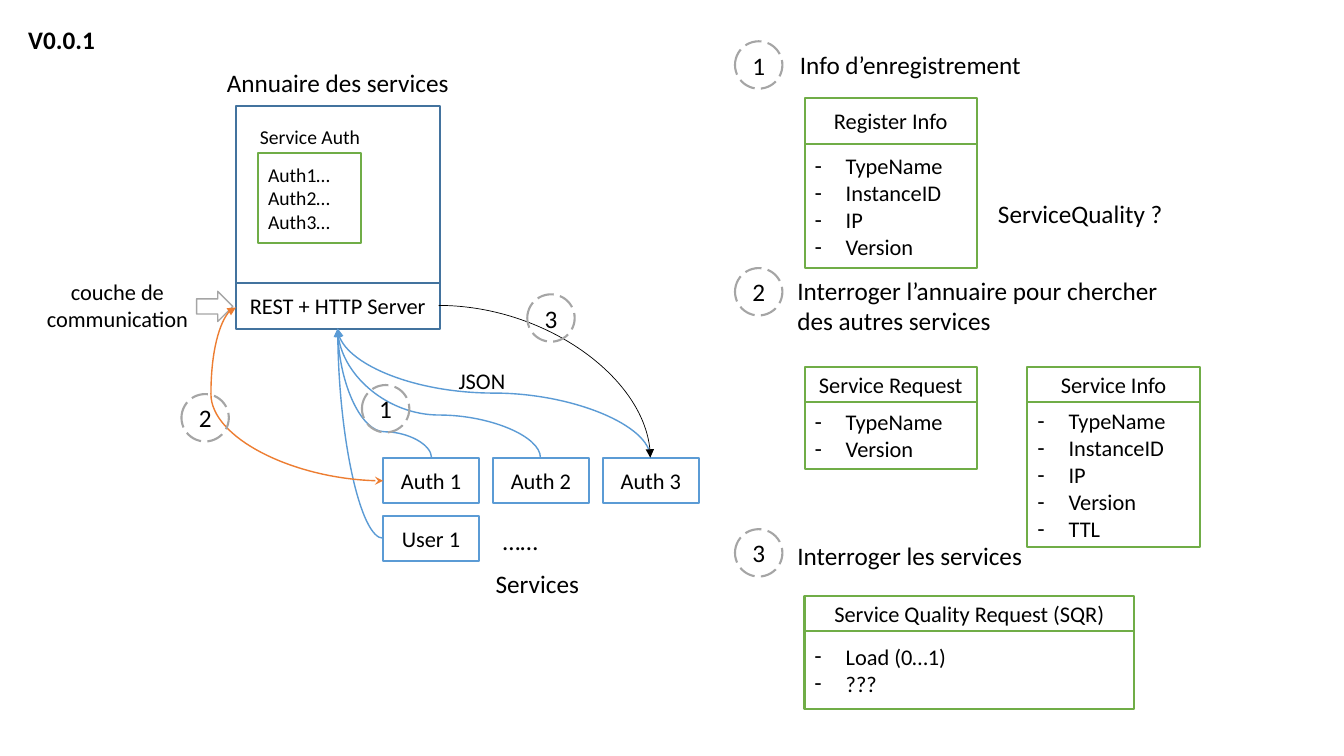
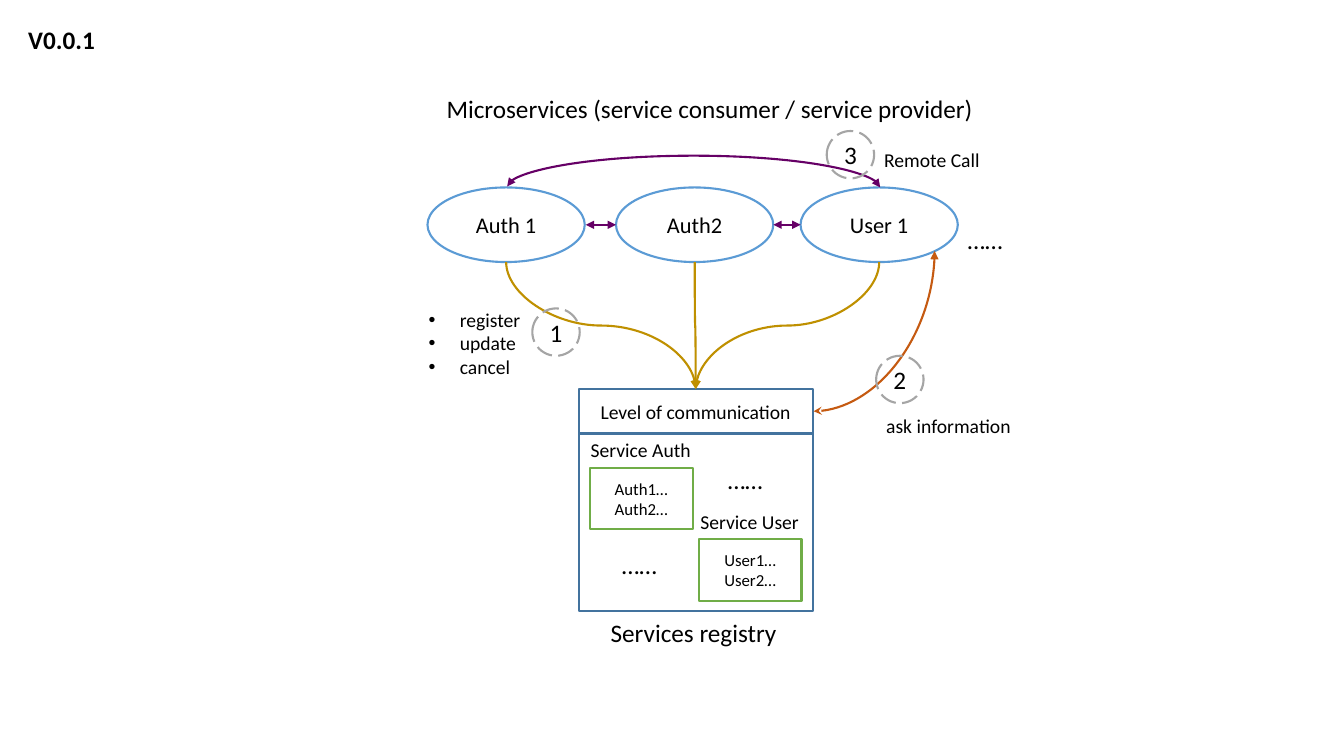
import pptx
import pptx.dml.color
import pptx.enum.dml
import pptx.enum.shapes
import pptx.enum.text
import pptx.oxml
import pptx.oxml.ns
import pptx.util

SHAPE = pptx.enum.shapes.MSO_SHAPE
ALIGN = pptx.enum.text.PP_ALIGN
ANCHOR = pptx.enum.text.MSO_ANCHOR
EMU_PER_PX = 9144

BLACK = "000000"
WHITE = "FFFFFF"
GREEN = "70AD47"
BLUE = "5B9BD5"
NAVY = "43739E"
GREY = "A5A5A5"
ORANGE = "ED7D31"
RUST = "C55A11"
GOLD = "BF9000"
PURPLE = "660066"


def px(length):
    return pptx.util.Emu(round(length * EMU_PER_PX))


def color(value):
    return pptx.dml.color.RGBColor.from_string(value)


def add_xml(parent, tag, **attributes):
    element = pptx.oxml.parse_xml(f"<a:{tag} {pptx.oxml.ns.nsdecls('a')}/>")
    for key, value in attributes.items():
        element.set(key, str(value))
    parent.append(element)


def write(frame, text, size=16, align=ALIGN.CENTER, anchor=ANCHOR.MIDDLE, bold=False, bullet=None):
    frame.word_wrap = True
    frame.auto_size = pptx.enum.text.MSO_AUTO_SIZE.NONE
    frame.vertical_anchor = anchor
    frame.text = text
    for paragraph in frame.paragraphs:
        paragraph.alignment = align
        paragraph.space_before = pptx.util.Pt(0)
        font = paragraph.font
        font.name = "Calibri"
        font.size = pptx.util.Pt(size)
        font.bold = bold
        font.color.rgb = color(BLACK)
        for run in paragraph.runs:
            run.font.name = "Calibri"
            run.font.size = pptx.util.Pt(size)
            run.font.bold = bold
            run.font.color.rgb = color(BLACK)
        if bullet:
            properties = paragraph._p.get_or_add_pPr()
            properties.set("marL", str(px(31)))
            properties.set("indent", str(-px(31)))
            bullet_font = pptx.oxml.parse_xml(
                f'<a:buFont {pptx.oxml.ns.nsdecls("a")} typeface="Arial"/>')
            bullet_mark = pptx.oxml.parse_xml(
                f'<a:buChar {pptx.oxml.ns.nsdecls("a")} char="{bullet}"/>')
            properties.insert_element_before(bullet_font, "a:defRPr")
            properties.insert_element_before(bullet_mark, "a:defRPr")


class Diagram:
    def __init__(self):
        self.deck = pptx.Presentation()
        self.deck.slide_width = px(1333)
        self.deck.slide_height = px(750)
        self.slide = None

    def start(self, layout, title):
        self.slide = self.deck.slides.add_slide(self.deck.slide_layouts[layout])
        self.place(self.slide.shapes.title, (18, 19, 149, 40))
        write(self.slide.shapes.title.text_frame, title, size=18, align=ALIGN.LEFT,
              anchor=ANCHOR.TOP, bold=True)

    def place(self, shape, area):
        shape.left, shape.top, shape.width, shape.height = map(px, area)

    def bullets(self, area, text, size):
        body = self.slide.placeholders[1]
        self.place(body, area)
        write(body.text_frame, text, size=size, align=ALIGN.LEFT, anchor=ANCHOR.TOP, bullet="•")

    def label(self, area, text, size=18, align=ALIGN.CENTER):
        box = self.slide.shapes.add_textbox(*map(px, area))
        write(box.text_frame, text, size=size, align=align, anchor=ANCHOR.TOP)

    def box(self, area, line, text="", fill=None, kind=SHAPE.RECTANGLE, width=1.5, parent=None, **style):
        shape = (parent or self.slide).shapes.add_shape(kind, *map(px, area))
        shape.shadow.inherit = False
        if fill:
            shape.fill.solid()
            shape.fill.fore_color.rgb = color(fill)
        else:
            shape.fill.background()
        shape.line.color.rgb = color(line)
        shape.line.width = pptx.util.Pt(width)
        if text:
            write(shape.text_frame, text, **style)
        return shape

    def step(self, left, top, number):
        ring = self.box((left, top, 47, 47), GREY, number, kind=SHAPE.OVAL, size=18)
        ring.line.dash_style = pptx.enum.dml.MSO_LINE.LONG_DASH

    def card(self, left, top, width, header, body, name, fields):
        group = self.slide.shapes.add_group_shape()
        self.box((left, top + header, width, body), GREEN, fields, fill=WHITE,
                 kind=SHAPE.FLOWCHART_PROCESS, parent=group, align=ALIGN.LEFT, bullet="-")
        self.box((left, top, width, header), GREEN, name, parent=group)

    def curve(self, start, end, line, width=1, head=None, bend=0.5, vertical=False, quarter=False):
        dx, dy = end[0] - start[0], end[1] - start[1]
        if vertical:
            across, down = abs(dy), abs(dx)
            turn = 90 if dy > 0 else 270
            flip = dx * dy > 0
        else:
            across, down = abs(dx), abs(dy)
            turn = 0 if dx > 0 else 180
            flip = dx * dy < 0
        left = (start[0] + end[0] - across) / 2
        top = (start[1] + end[1] - down) / 2
        connector = self.slide.shapes.add_connector(
            pptx.enum.shapes.MSO_CONNECTOR.CURVE,
            px(left), px(top), px(left + across), px(top + down))
        connector.line.color.rgb = color(line)
        connector.line.width = pptx.util.Pt(width)
        properties = connector._element.spPr
        frame = properties.find(pptx.oxml.ns.qn("a:xfrm"))
        frame.set("rot", str(turn * 60000))
        if flip:
            frame.set("flipV", "1")
        geometry = properties.find(pptx.oxml.ns.qn("a:prstGeom"))
        if quarter:
            geometry.set("prst", "curvedConnector2")
        else:
            add_xml(geometry.find(pptx.oxml.ns.qn("a:avLst")), "gd",
                    name="adj1", fmla=f"val {round(bend * 100000)}")
        outline = properties.find(pptx.oxml.ns.qn("a:ln"))
        if head:
            add_xml(outline, "headEnd", type=head)
        add_xml(outline, "tailEnd", type="triangle")
        add_xml(properties, "effectLst")


def directory_slide(diagram):
    diagram.start(5, "V0.0.1")
    diagram.box((234, 105, 202, 176), NAVY)
    diagram.label((213, 62, 244, 40), "Annuaire des services")
    diagram.box((256, 152, 102, 89), GREEN, "Auth1…\nAuth2…\nAuth3…", size=14, align=ALIGN.LEFT)
    diagram.label((247, 119, 121, 34), "Service Auth", size=14)
    diagram.box((234, 281, 202, 45), NAVY, "REST + HTTP Server")
    diagram.label((35, 271, 163, 64), "couche de communication", size=16)
    diagram.box((195, 289, 36, 30), GREY, fill=WHITE, kind=SHAPE.RIGHT_ARROW, width=1)

    for column, service in enumerate(("Auth 1", "Auth 2", "Auth 3")):
        diagram.box((380 + 109 * column, 454, 95, 45), BLUE, service, fill=WHITE)
    diagram.box((380, 512, 95, 45), BLUE, "User 1", fill=WHITE)
    diagram.label((411, 559, 244, 40), "Services")
    diagram.label((489, 516, 87, 40), "……", align=ALIGN.LEFT)

    server = (335, 326)
    for service_x, bend in ((428, 0.2), (536, 0.33), (645, 0.5)):
        diagram.curve((service_x, 454), server, BLUE, bend=bend, vertical=True)
    diagram.curve((380, 534), server, BLUE, quarter=True)
    diagram.label((445, 359, 78, 37), "JSON", size=16, align=ALIGN.LEFT)
    diagram.curve((435, 303), (645, 454), BLACK, width=0.5, quarter=True)
    diagram.curve((380, 477), (234, 305), ORANGE, head="stealth", bend=1.17)

    for left, top, number in ((359, 382, "1"), (180, 391, "2"), (523, 292, "3"),
                              (729, 41, "1"), (729, 266, "2"), (729, 525, "3")):
        diagram.step(left, top, number)

    diagram.label((781, 44, 244, 40), "Info d’enregistrement")
    diagram.label((781, 268, 389, 71), "Interroger l’annuaire pour chercher des autres services",
                  align=ALIGN.LEFT)
    diagram.label((781, 531, 389, 40), "Interroger les services", align=ALIGN.LEFT)
    diagram.label((980, 192, 210, 40), "ServiceQuality ?", align=ALIGN.LEFT)

    instance = "TypeName\nInstanceID\nIP\nVersion"
    diagram.card(798, 97, 171, 46, 123, "Register Info", instance)
    diagram.card(798, 364, 171, 35, 66, "Service Request", "TypeName\nVersion")
    diagram.card(1019, 364, 171, 35, 144, "Service Info", instance + "\nTTL")
    diagram.card(798, 591, 327, 35, 77, "Service Quality Request (SQR)", "Load (0…1)\n???")


def microservices_slide(diagram):
    diagram.start(1, "V0.0.1")
    diagram.box((574, 430, 232, 176), NAVY)
    diagram.label((566, 608, 244, 40), "Services registry")
    diagram.box((574, 386, 232, 45), NAVY, "Level of communication", size=14)
    for left, top, service in ((585, 464, "Auth"), (693, 535, "User")):
        diagram.box((left, top, 102, 61), GREEN, f"{service}1…\n{service}2…", size=12)
        diagram.label((left - 10, top - 34, 121, 34), f"Service {service}", size=14)

    diagram.label((397, 88, 614, 40), "Microservices (service consumer / service provider)")
    for left, top in ((950, 218), (712, 456), (607, 540)):
        diagram.label((left, top, 87, 40), "……", align=ALIGN.LEFT)

    for left, service in ((424, "Auth 1"), (611, "Auth2"), (794, "User 1")):
        diagram.box((left, 186, 156, 74), BLUE, service, fill=WHITE, kind=SHAPE.OVAL)
        diagram.curve((left + 78, 260), (690, 386), GOLD, width=1.5, vertical=True)

    diagram.curve((873, 186), (503, 185), PURPLE, width=1.5, head="triangle", bend=32, vertical=True)
    for right, left in ((611, 581), (794, 767)):
        diagram.curve((right, 223), (left, 223), PURPLE, width=1.5, head="triangle")
    diagram.curve((807, 408), (927, 249), RUST, width=1.5, head="stealth", quarter=True)

    for left, top, number in ((528, 306, "1"), (869, 353, "2"), (820, 130, "3")):
        diagram.step(left, top, number)
    diagram.bullets((415, 300, 127, 81), "register\nupdate\ncancel", size=14)
    diagram.label((869, 406, 162, 34), "ask information", size=14, align=ALIGN.LEFT)
    diagram.label((867, 142, 162, 34), "Remote Call", size=14, align=ALIGN.LEFT)


def main():
    diagram = Diagram()
    directory_slide(diagram)
    microservices_slide(diagram)
    diagram.deck.save("out.pptx")


if __name__ == "__main__":
    main()
